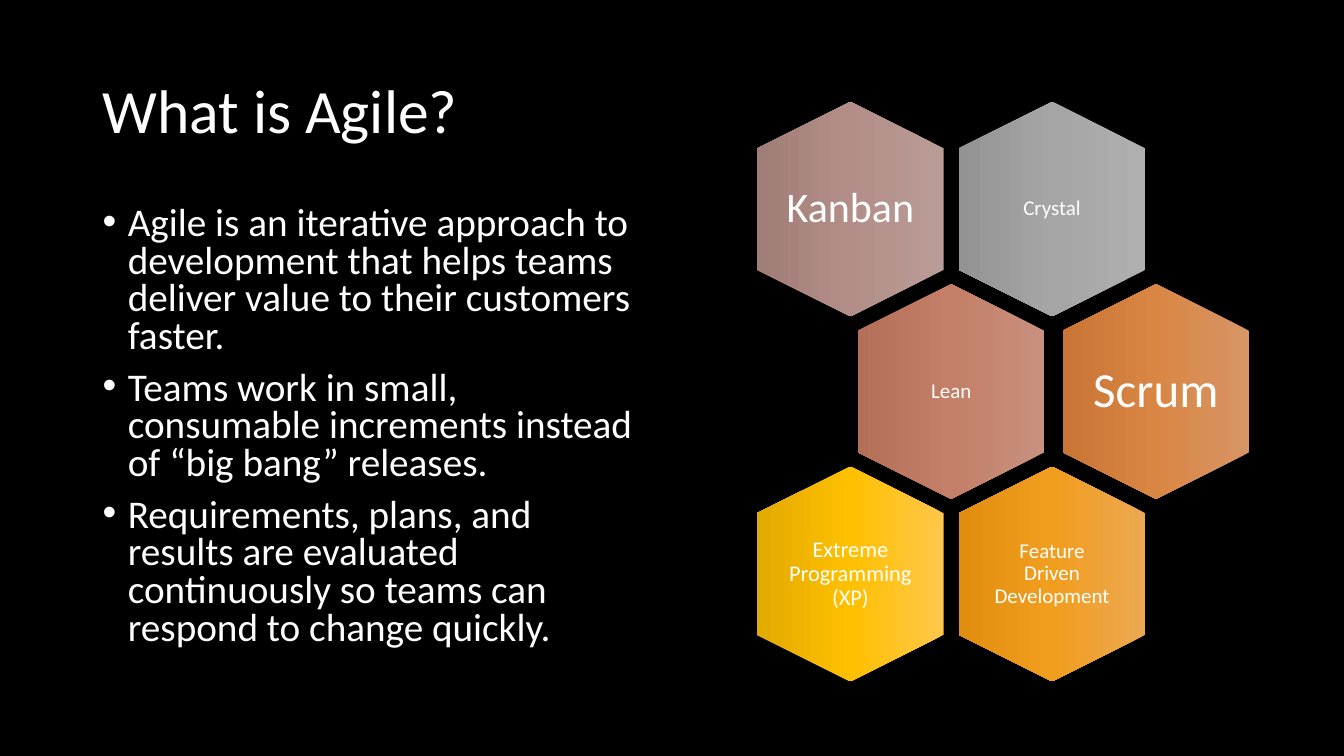
import copy
from dataclasses import dataclass

import pptx
import pptx.dml.color
import pptx.enum.shapes
import pptx.enum.text
import pptx.oxml
import pptx.oxml.ns
import pptx.util

Inches = pptx.util.Inches
Pt = pptx.util.Pt
RGB = pptx.dml.color.RGBColor.from_string
ANCHOR = pptx.enum.text.MSO_ANCHOR
ALIGN = pptx.enum.text.PP_ALIGN


@dataclass(frozen=True)
class Theme:
    font: str = "Calibri"
    background: str = "000000"
    text: str = "FFFFFF"
    title: int = 44
    body: int = 28
    scrum: int = 35
    kanban: int = 30
    programming: int = 16
    label: int = 15
    gray: tuple = ("AFAFAF", "A5A5A5", "939393")
    mauve: tuple = ("BA9C97", "B38E88", "A17D77")
    clay: tuple = ("C7917E", "C47F68", "B36F57")
    copper: tuple = ("D89566", "D98644", "C87535")
    amber: tuple = ("ECA852", "F19D1D", "E18E0F")
    gold: tuple = ("FFC74B", "FFC000", "E3AA00")


THEME = Theme()

BULLETS = [
    "Agile is an iterative approach to development that helps teams deliver value to their customers faster.",
    "Teams work in small, consumable increments instead of “big bang” releases.",
    "Requirements, plans, and results are evaluated continuously so teams can respond to change quickly.",
]

# Each row: left offset, column pitch, then (label, size, gradient, text inset)
METHOD_ROWS = [
    (0, 2.0, [("Kanban", THEME.kanban, THEME.mauve, 0),
              ("Crystal", THEME.label, THEME.gray, 0.06)]),
    (1.0, 2.03, [("Lean", THEME.label, THEME.clay, 0.06),
                 ("Scrum", THEME.scrum, THEME.copper, 0)]),
    (0, 2.0, [("Extreme Programming (XP)", THEME.programming, THEME.gold, 0),
              ("Feature Driven Development", THEME.label, THEME.amber, 0.06)]),
]
ROW_PITCH = 1.81
HEX_LENGTH, HEX_WIDTH = 2.13, 1.85
LABEL_WIDTH, LABEL_HEIGHT = 1.27, 1.46


def apply(target, values):
    for name, value in values.items():
        setattr(target, name, value)


def add_text(slide, box, paragraphs, size, frame_format, paragraph_format):
    tf = slide.shapes.add_textbox(*map(Inches, box)).text_frame
    apply(tf, {"word_wrap": True, **frame_format})
    for i, text in enumerate(paragraphs):
        p = tf.add_paragraph() if i else tf.paragraphs[0]
        apply(p, paragraph_format)
        r = p.add_run()
        r.text = text
        apply(r.font, {"name": THEME.font, "size": Pt(size)})
        r.font.color.rgb = RGB(THEME.text)
    return tf


def add_title(slide, box):
    add_text(slide, box, ["What is Agile?"], THEME.title,
             {"vertical_anchor": ANCHOR.MIDDLE}, {"line_spacing": 0.9})


def add_bullets(slide, box):
    tf = add_text(slide, box, BULLETS, THEME.body, {},
                  {"line_spacing": 0.8, "space_before": Pt(10)})
    for p in tf.paragraphs:
        pPr = p._p.get_or_add_pPr()
        pPr.set("marL", str(Inches(0.25)))
        pPr.set("indent", str(Inches(-0.25)))
        ns = pptx.oxml.ns.nsdecls("a")
        pPr.append(pptx.oxml.parse_xml(f'<a:buFont {ns} typeface="Arial"/>'))
        pPr.append(pptx.oxml.parse_xml(f'<a:buChar {ns} char="•"/>'))


def fill_gradient(sp, colors):
    """Fill from top to bottom with evenly spaced colours."""
    sp.fill.gradient()
    sp.fill.gradient_angle = 270
    stops = sp.fill._fill._gradFill.gsLst
    stops.insert(1, copy.deepcopy(stops[0]))
    for i, (stop, color) in enumerate(zip(sp.fill.gradient_stops, colors)):
        stop.position = i / (len(colors) - 1)
        stop.color.rgb = RGB(color)


def add_method(slide, center_x, center_y, label, size, colors, inset):
    box = (center_x - HEX_LENGTH / 2, center_y - HEX_WIDTH / 2, HEX_LENGTH, HEX_WIDTH)
    sp = slide.shapes.add_shape(pptx.enum.shapes.MSO_SHAPE.HEXAGON, *map(Inches, box))
    sp.rotation = 90
    sp.adjustments[0] = 0.25
    sp.adjustments[1] = 1.1547
    sp.shadow.inherit = False
    sp.line.fill.background()
    fill_gradient(sp, colors)

    box = (center_x - LABEL_WIDTH / 2, center_y - LABEL_HEIGHT / 2, LABEL_WIDTH, LABEL_HEIGHT)
    margins = {f"margin_{side}": Inches(inset) for side in ("left", "top", "right", "bottom")}
    add_text(slide, box, [label], size, {"vertical_anchor": ANCHOR.MIDDLE, **margins},
             {"alignment": ALIGN.CENTER, "line_spacing": 0.9})


def add_honeycomb(slide, left, top):
    for row, (offset, pitch, methods) in enumerate(METHOD_ROWS):
        for col, method in enumerate(methods):
            add_method(slide, left + offset + col * pitch + HEX_WIDTH / 2,
                       top + row * ROW_PITCH + HEX_LENGTH / 2, *method)


def main():
    prs = pptx.Presentation()
    prs.slide_width, prs.slide_height = Inches(13.33), Inches(7.5)
    slide = prs.slides.add_slide(prs.slide_layouts[6])
    slide.background.fill.solid()
    slide.background.fill.fore_color.rgb = RGB(THEME.background)
    add_title(slide, (0.92, 0.4, 11.5, 1.45))
    add_bullets(slide, (0.92, 2, 5.56, 4.76))
    add_honeycomb(slide, 7.51, 1.01)
    prs.save("out.pptx")


if __name__ == "__main__":
    main()
